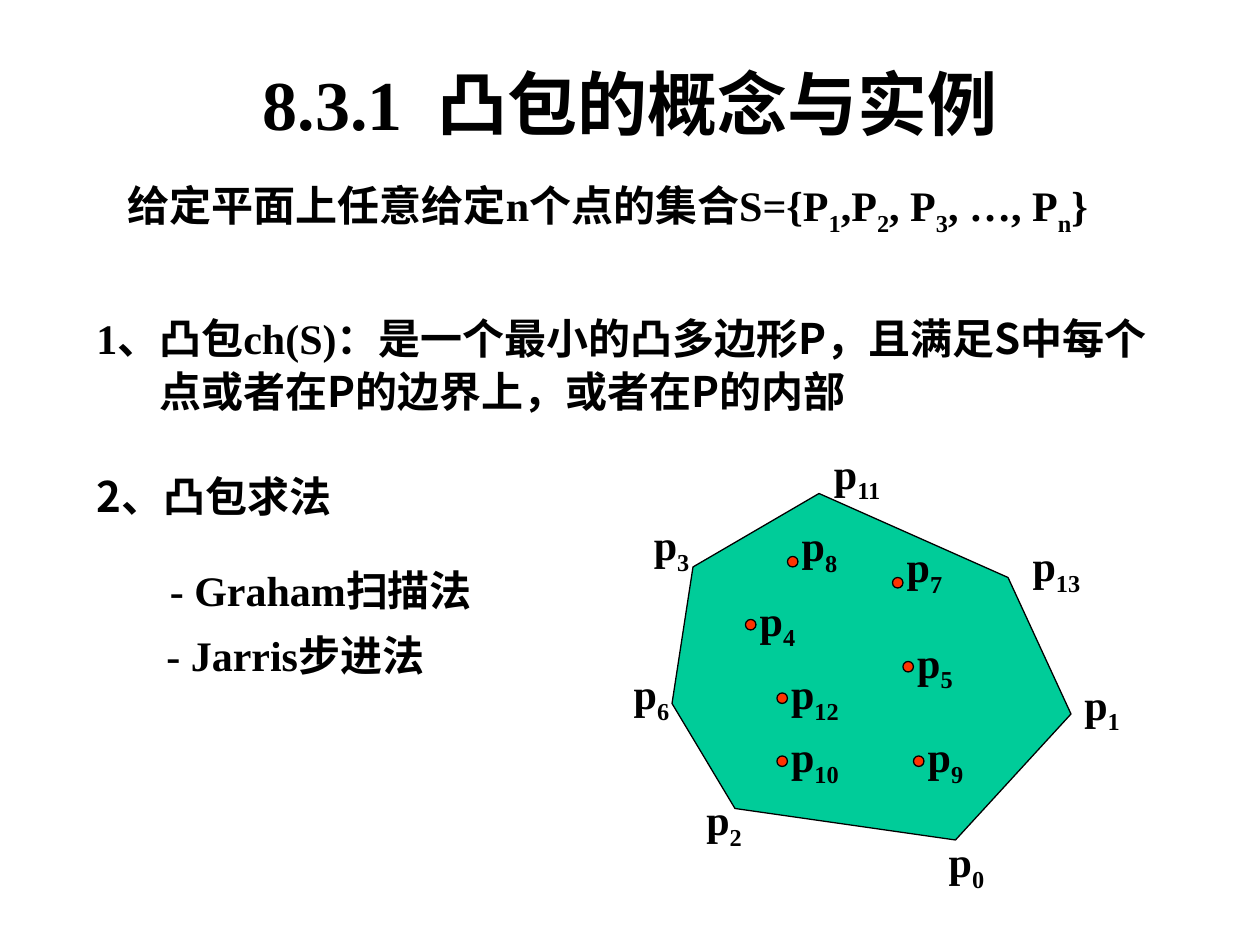
from lxml import etree
from pptx import Presentation
from pptx.dml.color import RGBColor
from pptx.enum.shapes import MSO_SHAPE
from pptx.enum.text import MSO_ANCHOR, PP_ALIGN
from pptx.oxml.ns import qn
from pptx.util import Pt

DOT = MSO_SHAPE.FLOWCHART_CONNECTOR
MIDDLE = MSO_ANCHOR.MIDDLE
CENTER = PP_ALIGN.CENTER
SERIF = "Times New Roman"
SANS = "Noto Sans CJK SC"
COLORS = {"text": "000000", "hull": "00CC99", "dot": "FF3300", "outline": "000000"}


def write(paragraph, text, size=24, face=SERIF):
    for index, part in enumerate(text.split("_")):
        if part:
            run = paragraph.add_run()
            run.text = part
            if index % 2:
                run.font._element.set("baseline", "-25000")
    font = paragraph.font
    font.size = Pt(size)
    font.bold = True
    font.color.rgb = RGBColor.from_string(COLORS["text"])
    font.name = face
    etree.SubElement(font._element, qn("a:ea")).set("typeface", SANS)


def paint(shape, fill):
    shape.shadow.inherit = False
    shape.fill.solid()
    shape.fill.fore_color.rgb = RGBColor.from_string(COLORS[fill])
    shape.line.color.rgb = RGBColor.from_string(COLORS["outline"])
    shape.line.width = Pt(0.75)


prs = Presentation()
prs.slide_width, prs.slide_height = Pt(720), Pt(540)
slide = prs.slides.add_slide(prs.slide_layouts[5])
shapes = slide.shapes

title = shapes.title
title.left, title.top, title.width, title.height = Pt(54), Pt(31.5), Pt(612), Pt(54)
title.text_frame.vertical_anchor = MIDDLE
heading = title.text_frame.paragraphs[0]
heading.alignment = CENTER
write(heading, "8.3.1  凸包的概念与实例", 40)

statements = [
    (54, 102, 612, 72, 12, 0, SERIF,
     "给定平面上任意给定n个点的集合S={P_1_,P_2_, P_3_, …, P_n_}", ""),
    (48, 174, 618, 78, 36, -36, SERIF,
     "1、凸包ch(S)：", "是一个最小的凸多边形P，且满足S中每个点或者在P的边界上，或者在P的内部"),
    (48, 264, 546, 36, 36, -36, SANS, "2、凸包求法", ""),
    (90, 318, 396, 36, 0, 0, SERIF, "- Graham扫描法", ""),
    (88, 355, 396, 36, 0, 0, SERIF, "- Jarris步进法", ""),
]
for left, top, width, height, margin, indent, face, text, sans_text in statements:
    frame = shapes.add_textbox(Pt(left), Pt(top), Pt(width), Pt(height)).text_frame
    frame.word_wrap = True
    statement = frame.paragraphs[0]
    statement.line_spacing = Pt(30)
    properties = statement._p.get_or_add_pPr()
    properties.set("marL", str(Pt(margin)))
    properties.set("indent", str(Pt(indent)))
    write(statement, text, face=face)
    if sans_text:
        definition = statement.add_run()
        definition.text = sans_text
        definition.font.name = SANS

hull_points = [(468, 282), (396, 324), (384, 402), (420, 462),
               (546, 480), (612, 408), (576, 330)]
builder = shapes.build_freeform(Pt(468), Pt(282))
builder.add_line_segments([(Pt(x), Pt(y)) for x, y in hull_points[1:]], close=True)
paint(builder.convert_to_shape(), "hull")

inner_points = {
    8: (450, 318, 24.5), 7: (510, 330, 24.5), 4: (426, 354, 18), 5: (516, 378, 18),
    12: (444, 396, 18), 10: (444, 432, 18), 9: (522, 432, 18),
}
labels = {
    3: (366.5, 293), 6: (355, 378), 2: (396.5, 450), 0: (535, 474),
    13: (583, 305), 1: (612.5, 384), 11: (469.5, 252),
}
for number, (x, y, rise) in inner_points.items():
    labels[number] = (x + 1, y - rise)

for number, (left, top) in labels.items():
    width = 42 if number > 9 else 34.5
    frame = shapes.add_textbox(Pt(left), Pt(top), Pt(width), Pt(40)).text_frame
    frame.word_wrap = False
    write(frame.paragraphs[0], f"p_{number}_")

for x, y, rise in inner_points.values():
    paint(shapes.add_shape(DOT, Pt(x), Pt(y), Pt(6), Pt(6)), "dot")

prs.save("out.pptx")
